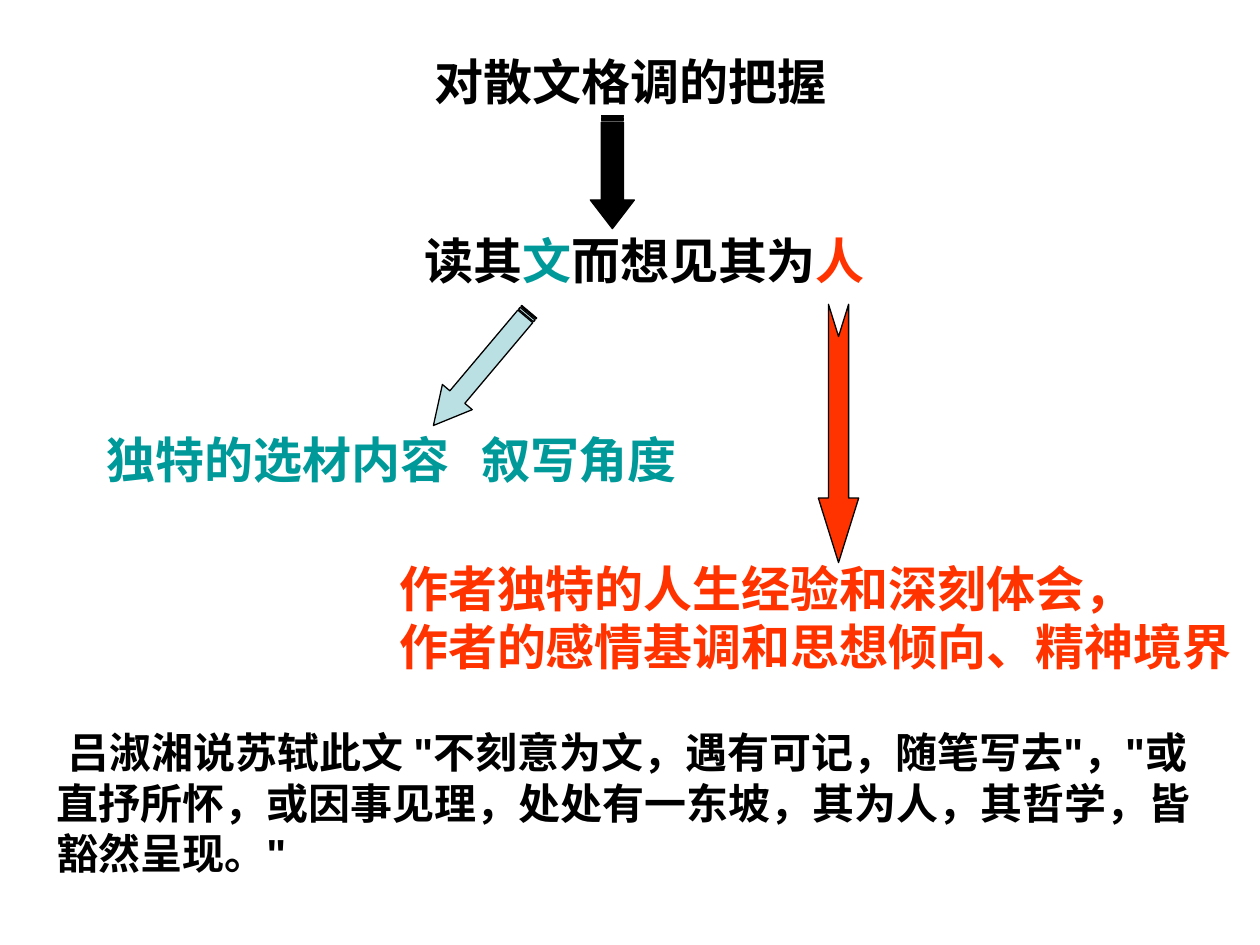
"""Build a slide on grasping the style of an essay."""
from lxml import etree
from pptx import Presentation
from pptx import util as u
from pptx.dml.color import RGBColor
from pptx.enum import shapes, text
from pptx.oxml.ns import qn

HUES = {"ink": "000000", "teal": "009999", "red": "FF3300", "pale": "BBE0E3"}

TITLE = {"at": (3.35, 0.36, 3.46, 0.57), "runs": [("对散文格调的把握", "ink")]}
NOTES = [
    {"at": (3.27, 1.78, 4.25, 0.57),
     "runs": [("读其", "ink"), ("文", "teal"), ("而想见其为", "ink"), ("人", "red")]},
    {"at": (0.75, 3.36, 5.12, 0.57), "tab": 2.97,
     "runs": [("独特的选材内容\t叙写角度", "teal")]},
    {"at": (3.07, 4.38, 6.93, 1.04),
     "runs": [("作者独特的人生经验和深刻体会，\n作者的感情基调和思想倾向、精神境界", "red")]},
    {"at": (0.35, 5.72, 9.29, 1.3), "size": 24, "indent": 0.09,
     "runs": [("吕淑湘说苏轼此文 \"不刻意为文，遇有可记，随笔写去\"，"
               "\"或直抒所怀，或因事见理，处处有一东坡，其为人，"
               "其哲学，皆豁然呈现。\"", "ink")]},
]

STRIPED = shapes.MSO_SHAPE.STRIPED_RIGHT_ARROW
NOTCHED = shapes.MSO_SHAPE.NOTCHED_RIGHT_ARROW
ARROWS = [
    (STRIPED, (4.41, 1.19, 0.9, 0.35), 90, 0.65, "ink"),
    (STRIPED, (3.23, 2.77, 1.18, 0.31), 130.1, 0.95, "pale"),
    (NOTCHED, (5.63, 3.28, 2.05, 0.32), 90, 1.6, "red"),
]


def tint(name):
    return RGBColor.from_string(HUES[name])


def place(at):
    return [u.Inches(n) for n in at]


def write(box, runs, size=28, tab=None, indent=0):
    frame = box.text_frame
    frame.word_wrap = True
    frame.auto_size = text.MSO_AUTO_SIZE.NONE
    frame.vertical_anchor = text.MSO_ANCHOR.TOP
    para = frame.paragraphs[0]
    props = para._p.get_or_add_pPr()
    if tab:
        stops = etree.SubElement(props, qn("a:tabLst"))
        etree.SubElement(stops, qn("a:tab"), pos=str(u.Inches(tab)), algn="l")
    if indent:
        props.set("indent", str(u.Inches(indent)))
    para.alignment = text.PP_ALIGN.LEFT
    for words, hue in runs:
        for row, line in enumerate(words.split("\n")):
            if row:
                para.add_line_break()
            run = para.add_run()
            run.text = line
            run.font.name, run.font.size = "Arial", u.Pt(size)
            run.font.bold = True
            run.font.color.rgb = tint(hue)


def point(slide, kind, at, turn, head, hue):
    arrow = slide.shapes.add_shape(kind, *place(at))
    arrow.rotation = turn
    arrow.adjustments[0], arrow.adjustments[1] = 0.5, head
    arrow.shadow.inherit = False
    arrow.fill.solid()
    arrow.fill.fore_color.rgb = tint(hue)
    arrow.line.color.rgb = tint("ink")
    arrow.line.width = u.Pt(0.75)


def main():
    deck = Presentation()
    deck.slide_width, deck.slide_height = u.Inches(10), u.Inches(7.5)
    slide = deck.slides.add_slide(deck.slide_layouts[5])
    title = slide.shapes.title
    title.left, title.top, title.width, title.height = place(TITLE["at"])
    write(title, TITLE["runs"])
    for arrow in ARROWS:
        point(slide, *arrow)
    for note in NOTES:
        form = {key: val for key, val in note.items() if key != "at"}
        write(slide.shapes.add_textbox(*place(note["at"])), **form)
    deck.save("out.pptx")


if __name__ == "__main__":
    main()
